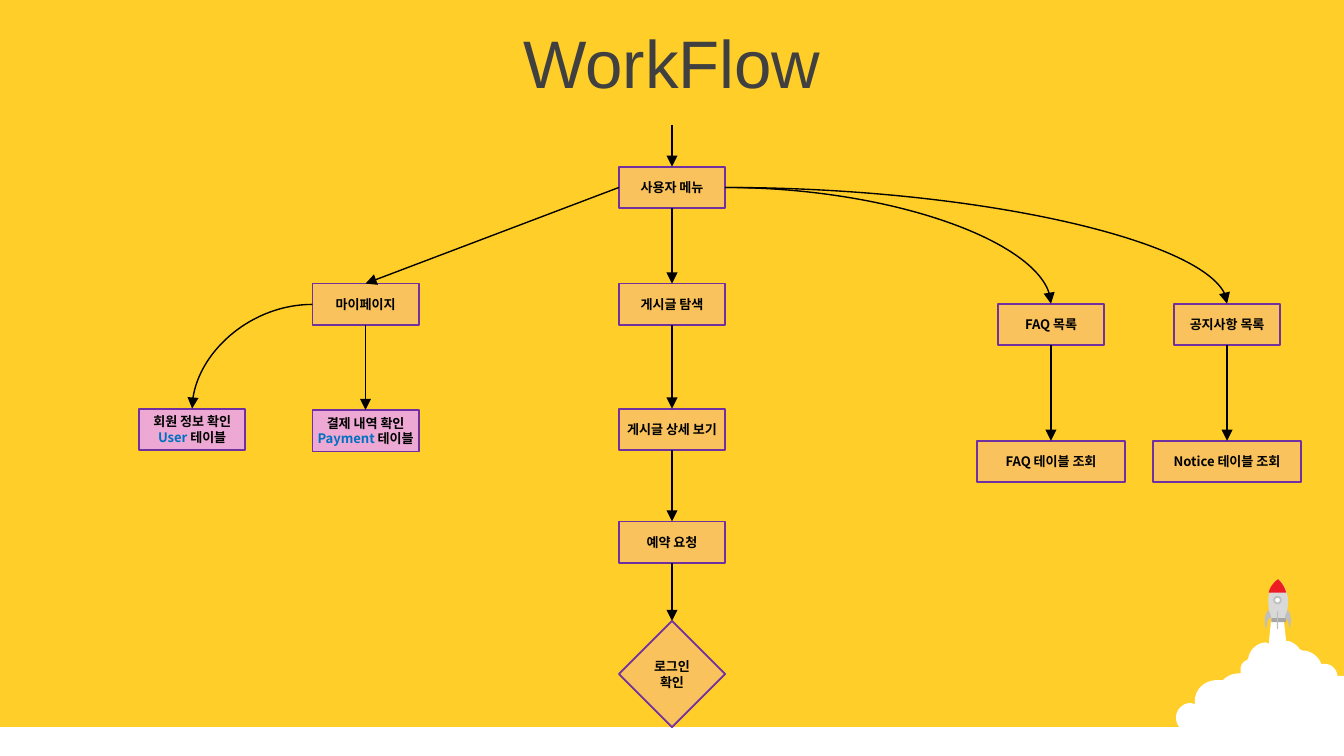
from lxml import etree
from pptx import Presentation
from pptx.dml.color import RGBColor
from pptx.enum.shapes import MSO_CONNECTOR, MSO_SHAPE
from pptx.enum.text import MSO_ANCHOR, PP_ALIGN
from pptx.oxml.ns import qn
from pptx.util import Inches, Pt

RECT, DIAMOND, OVAL = MSO_SHAPE.RECTANGLE, MSO_SHAPE.DIAMOND, MSO_SHAPE.OVAL
STRAIGHT, CURVE = MSO_CONNECTOR.STRAIGHT, MSO_CONNECTOR.CURVE
CENTER, MIDDLE = PP_ALIGN.CENTER, MSO_ANCHOR.MIDDLE
TOP, LEFT, BOTTOM, RIGHT = range(4)  # connection sites of a box

WIDTH = 10
HEIGHT = WIDTH * 9 / 16
FONT = "Noto Sans CJK KR"
YELLOW, WHITE, BLACK, BLUE = "FFCE29", "FFFFFF", "000000", "0070C0"
PINK, PURPLE, SILVER = "EDA9D3", "7030A0", "BFBFBF"
BOX_W, WIDE_W, BOX_H = 0.79, 1.1, 0.31
COLUMNS = {"user": 1.43, "mine": 2.72, "main": 5, "faq": 7.82, "notice": 9.13}

# name: column, top, width, height, solid fill, lines of (text, colour) runs
BOXES = {
    "menu": ("main", 1.24, BOX_W, BOX_H, False, [[("사용자 메뉴", BLACK)]]),
    "my page": ("mine", 2.11, BOX_W, BOX_H, False, [[("마이페이지", BLACK)]]),
    "user": ("user", 3.04, BOX_W, BOX_H, True,
             [[("회원 정보 확인", BLACK)], [("User ", BLUE), ("테이블", BLACK)]]),
    "payment": ("mine", 3.05, BOX_W, BOX_H, True,
                [[("결제 내역 확인", BLACK)], [("Payment ", BLUE), ("테이블", BLACK)]]),
    "search": ("main", 2.11, BOX_W, BOX_H, False, [[("게시글 탐색", BLACK)]]),
    "detail": ("main", 3.04, BOX_W, BOX_H, False, [[("게시글 상세 보기", BLACK)]]),
    "request": ("main", 3.88, BOX_W, BOX_H, False, [[("예약 요청", BLACK)]]),
    "login": ("main", 4.62, BOX_W, BOX_W, False, [[("로그인", BLACK)], [("확인", BLACK)]]),
    "faq": ("faq", 2.26, BOX_W, BOX_H, False, [[("FAQ 목록", BLACK)]]),
    "faq table": ("faq", 3.28, WIDE_W, BOX_H, False, [[("FAQ 테이블 조회", BLACK)]]),
    "notice": ("notice", 2.26, BOX_W, BOX_H, False, [[("공지사항 목록", BLACK)]]),
    "notice table": ("notice", 3.28, WIDE_W, BOX_H, False, [[("Notice 테이블 조회", BLACK)]]),
}
ARROWS = [
    ("menu", LEFT, "my page", STRAIGHT), ("menu", RIGHT, "faq", CURVE),
    ("menu", RIGHT, "notice", CURVE), ("menu", BOTTOM, "search", STRAIGHT),
    ("my page", LEFT, "user", CURVE), ("my page", BOTTOM, "payment", STRAIGHT),
    ("search", BOTTOM, "detail", STRAIGHT), ("detail", BOTTOM, "request", STRAIGHT),
    ("request", BOTTOM, "login", STRAIGHT), ("faq", BOTTOM, "faq table", STRAIGHT),
    ("notice", BOTTOM, "notice table", STRAIGHT),
]

# Outlines: a pair is a corner, six numbers are a Bezier curve
CLOUD = [
    (9.46, 4.59), (9.55, 4.59), (9.57, 4.77), (9.59, 4.77),
    (9.62, 4.78, 9.65, 4.8, 9.67, 4.83), (9.69, 4.84),
    (9.75, 4.84, 9.81, 4.88, 9.83, 4.94), (9.86, 4.94),
    (9.9, 4.94, 9.94, 4.97, 9.95, 5.02), (9.95, 5.03), (10, 5.03), (10, 5.61),
    (9.34, 5.61), (8.86, 5.45), (8.8, 5.45, 8.75, 5.4, 8.75, 5.34),
    (8.75, 5.28, 8.8, 5.23, 8.86, 5.23), (8.89, 5.24), (8.89, 5.22),
    (8.89, 5.13, 8.96, 5.06, 9.06, 5.06), (9.1, 5.06),
    (9.14, 5.02, 9.18, 5.01, 9.23, 5.01), (9.23, 4.98),
    (9.23, 4.95, 9.25, 4.92, 9.28, 4.91), (9.29, 4.89),
    (9.3, 4.83, 9.36, 4.78, 9.42, 4.78), (9.44, 4.79),
]
BODY = [(9.46, 4.62), (9.44, 4.53, 9.4, 4.4, 9.51, 4.31), (9.62, 4.41, 9.58, 4.54, 9.56, 4.62)]
NOSE = [(9.51, 4.31), (9.54, 4.34, 9.56, 4.37, 9.57, 4.41), (9.44, 4.41),
        (9.45, 4.37, 9.47, 4.34, 9.51, 4.31)]
LEFT_FIN = [(9.44, 4.54), (9.46, 4.59), (9.42, 4.61, 9.43, 4.66, 9.42, 4.68),
            (9.41, 4.65, 9.4, 4.57, 9.44, 4.54)]
RIGHT_FIN = [(9.58, 4.54), (9.56, 4.59), (9.59, 4.61, 9.59, 4.66, 9.6, 4.68),
             (9.6, 4.65, 9.62, 4.57, 9.58, 4.54)]


def rgb(color):
    return RGBColor.from_string(color)


def paint(s, fill, line=None):
    s.shadow.inherit = False
    s.fill.solid()
    s.fill.fore_color.rgb = rgb(fill)
    if line:
        s.line.color.rgb = rgb(line)
        s.line.width = Pt(1)
    else:
        s.line.fill.background()


def add_preset(shapes, kind, x, y, w, h, fill, line=None):
    s = shapes.add_shape(kind, Inches(x), Inches(y), Inches(w), Inches(h))
    paint(s, fill, line)
    return s


def add_outline(shapes, steps, fill, pieces=10):
    """Draw a closed outline, with each curve cut into short straight pieces."""
    points = []
    for step in steps:
        if len(step) == 2:
            points.append(step)
            continue
        (x0, y0), (x1, y1, x2, y2, x3, y3) = points[-1], step
        for i in range(1, pieces + 1):
            t = i / pieces
            a, b, c, d = (1 - t) ** 3, 3 * t * (1 - t) ** 2, 3 * t * t * (1 - t), t ** 3
            points.append((a * x0 + b * x1 + c * x2 + d * x3,
                           a * y0 + b * y1 + c * y2 + d * y3))
    points = [(Inches(x), Inches(y)) for x, y in points]
    builder = shapes.build_freeform(*points[0])
    builder.add_line_segments(points[1:])
    paint(builder.convert_to_shape(), fill)


def add_box(shapes, column, top, w, h, solid, lines):
    kind = DIAMOND if h == w else RECT
    s = add_preset(shapes, kind, COLUMNS[column] - w / 2, top, w, h, PINK, PURPLE)
    if not solid:
        color = s.fill._xPr.find(qn("a:solidFill"))[0]
        etree.SubElement(color, qn("a:alpha")).set("val", "30000")
    tf = s.text_frame
    tf.word_wrap = True
    tf.vertical_anchor = MIDDLE
    tf.margin_left = tf.margin_right = 0
    for i, runs in enumerate(lines):
        p = tf.add_paragraph() if i else tf.paragraphs[0]
        p.alignment = CENTER
        p.font.size, p.font.bold, p.font.name = Pt(7), True, FONT
        for text, color in runs:
            r = p.add_run()
            r.text = text
            r.font.color.rgb = rgb(color)
            etree.SubElement(r._r.get_or_add_rPr(), qn("a:ea")).set("typeface", FONT)
    return s


def add_arrow(shapes, kind, target, source=None, site=BOTTOM):
    """Join two boxes; without a source the arrow enters from above."""
    x = Inches(COLUMNS["main"])
    s = shapes.add_connector(kind, x, Inches(0.93), x, Inches(1.24))
    if source:
        s.begin_connect(source, site)
    s.end_connect(target, TOP)
    s.line.color.rgb = rgb(BLACK)
    s.line.width = Pt(0.75)
    etree.SubElement(s.line._get_or_add_ln(), qn("a:tailEnd")).set("type", "triangle")
    sp_pr = s._element.spPr
    etree.SubElement(sp_pr, qn("a:effectLst"))
    if kind == CURVE:
        sp_pr.find(qn("a:prstGeom")).set("prst", "curvedConnector2")


def add_rocket(shapes):
    add_outline(shapes, CLOUD, WHITE)
    add_outline(shapes, BODY, "D9D9D9")
    add_preset(shapes, RECT, 9.46, 4.6, 0.11, 0.03, "A6A6A6")
    add_outline(shapes, NOSE, "ED1C24")
    add_preset(shapes, OVAL, 9.48, 4.44, 0.05, 0.05, WHITE, SILVER)
    add_preset(shapes, RECT, 9.5, 4.55, 0.01, 0.13, SILVER)
    for fin in (LEFT_FIN, RIGHT_FIN):
        add_outline(shapes, fin, SILVER)


def add_title(title, text):
    title.left, title.top = 0, Inches(0.14)
    title.width, title.height = Inches(WIDTH), Inches(0.63)
    tf = title.text_frame
    tf.text = text
    tf.vertical_anchor = MIDDLE
    p = tf.paragraphs[0]
    p.alignment = CENTER
    p.font.size, p.font.name, p.font.color.rgb = Pt(36), "Arial", rgb("404040")


def main():
    prs = Presentation()
    prs.slide_width, prs.slide_height = Inches(WIDTH), Inches(HEIGHT)
    slide = prs.slides.add_slide(prs.slide_layouts[5])
    slide.background.fill.solid()
    slide.background.fill.fore_color.rgb = rgb(YELLOW)
    shapes = slide.shapes
    add_title(shapes.title, "WorkFlow")
    add_preset(shapes, RECT, 0, 5.41, WIDTH, 0.24, WHITE)
    add_rocket(shapes)
    boxes = {name: add_box(shapes, *box) for name, box in BOXES.items()}
    add_arrow(shapes, STRAIGHT, boxes["menu"])
    for source, site, target, kind in ARROWS:
        add_arrow(shapes, kind, boxes[target], boxes[source], site)
    prs.save("out.pptx")


if __name__ == "__main__":
    main()
